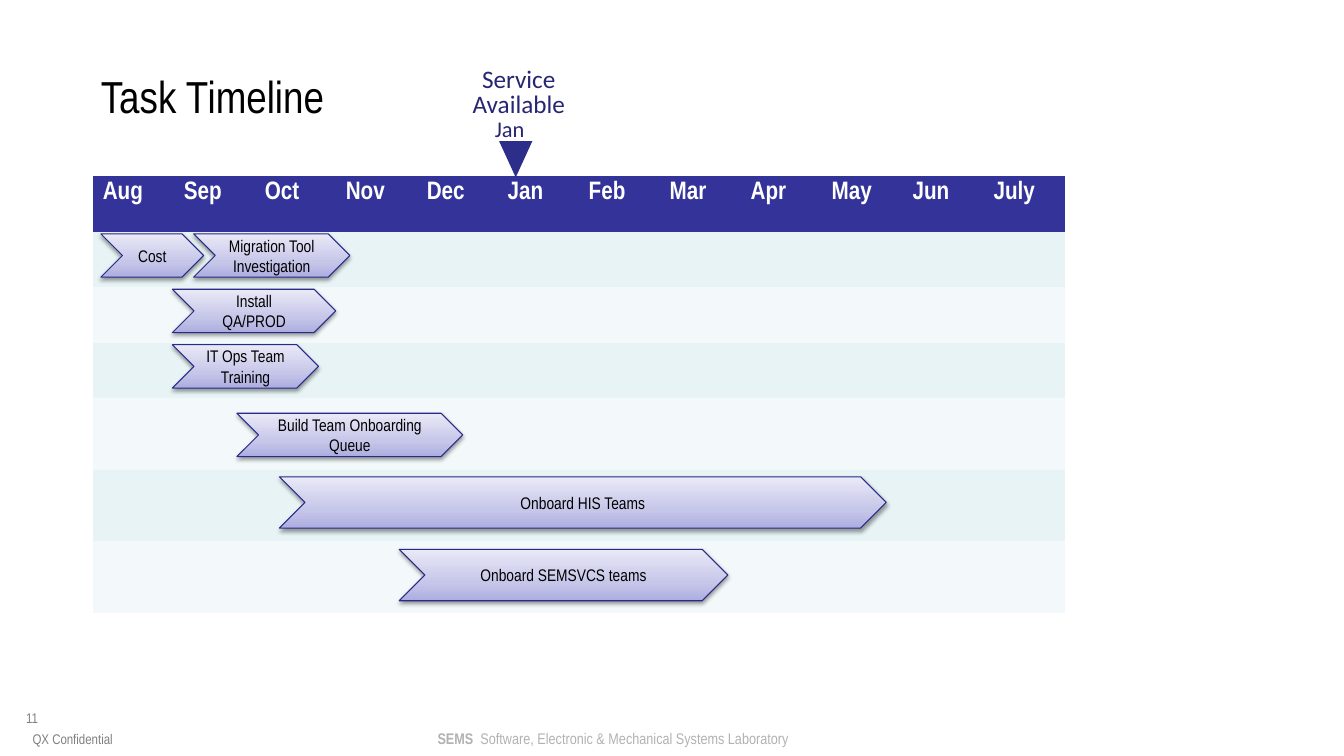
from pptx import Presentation
from pptx.dml.color import RGBColor
from pptx.enum import shapes, text
from pptx.oxml import parse_xml
from pptx.oxml.ns import nsdecls, qn
from pptx.util import Inches, Pt
from copy import deepcopy

BLACK = RGBColor(0, 0, 0)
WHITE = RGBColor(255, 255, 255)
GRAY = RGBColor(0x80, 0x80, 0x80)
SILVER = RGBColor(0xB2, 0xB2, 0xB2)
HEAD = RGBColor(0x33, 0x33, 0x99)
BANDS = RGBColor(0xE7, 0xF3, 0xF4), RGBColor(0xF3, 0xF9, 0xFA)
EDGE = RGBColor(0x2A, 0x2A, 0x89)
MARK = RGBColor(0x2D, 0x2D, 0x8A)
NAVY = RGBColor(0x26, 0x26, 0x73)
FADE = [(0, RGBColor(0xAD, 0xAD, 0xE1)), (0.35, RGBColor(0xC6, 0xC6, 0xE9)),
        (1, RGBColor(0xE9, 0xE9, 0xF7))]
NARROW = "Arial Narrow"
PLAIN = "{2D5ABB26-0587-4C30-8999-92F81FD0307C}"  # table style without borders

MONTHS = "Aug Sep Oct Nov Dec Jan Feb Mar Apr May Jun July".split()
ROWS = [0.55] * 4 + [0.71] * 3
WIDE = 9.64
# name, left, top, width, height
TASKS = [
    ("Cost", 1, 2.32, 1.02, 0.43),
    ("Install QA/PROD", 1.71, 2.87, 1.62, 0.43),
    ("IT Ops Team Training", 1.71, 3.42, 1.45, 0.43),
    ("Build Team Onboarding Queue", 2.35, 4.1, 2.24, 0.43),
    ("Onboard HIS Teams", 2.77, 4.73, 6.02, 0.51),
    ("Onboard SEMSVCS teams", 3.96, 5.45, 3.26, 0.51),
    ("Migration Tool Investigation", 1.92, 2.32, 1.55, 0.43),
]

deck = Presentation()
deck.slide_width, deck.slide_height = Inches(13.33), Inches(7.5)
slide = deck.slides.add_slide(deck.slide_layouts[5])


def style(para, size, color, name=NARROW, align=text.PP_ALIGN.LEFT):
    para.alignment = align
    font = para.font
    font.size, font.name, font.color.rgb = Pt(size), name, color


def label(words, box, size, color, name=NARROW, align=text.PP_ALIGN.LEFT,
          anchor=text.MSO_ANCHOR.TOP, side=0, wrap=True):
    """Add a text box; words are (text, bold) runs. Return its paragraph."""
    frame = slide.shapes.add_textbox(*map(Inches, box)).text_frame
    frame.word_wrap, frame.vertical_anchor = wrap, anchor
    frame.margin_left = frame.margin_right = Inches(side)
    frame.margin_top = frame.margin_bottom = 0
    para = frame.paragraphs[0]
    for part, bold in words:
        run = para.add_run()
        run.text = part
        if bold:
            run.font.bold = True
    style(para, size, color, name, align)
    return para


def fade(shape):
    """Fill with the three-stop gradient, dark at the bottom."""
    shape.fill.gradient()
    shape.fill.gradient_angle = 90
    stops = shape._element.spPr.find(".//" + qn("a:gsLst"))
    stops.insert(1, deepcopy(stops[0]))
    for stop, (place, color) in zip(shape.fill.gradient_stops, FADE):
        stop.position, stop.color.rgb = place, color


def shade(shape):
    """Give the shape a soft shadow below."""
    shape.shadow.inherit = False
    shape._element.spPr.find(qn("a:effectLst")).append(parse_xml(
        f'<a:outerShdw {nsdecls("a")} blurRad="{Pt(3.1)}" dist="{Pt(1.6)}" '
        'dir="5400000" rotWithShape="0"><a:srgbClr val="000000">'
        '<a:alpha val="38000"/></a:srgbClr></a:outerShdw>'))


# Footer
label([("11", False)], (0.26, 7.04, 0.71, 0.25), 10, GRAY)
label([("SEMS", True),
       ("\u00a0 Software, Electronic & Mechanical Systems Laboratory".replace("\u00a0", " "), False)],
      (4.34, 7.23, 3.5, 0.19), 11, SILVER, wrap=False)
label([("QX Confidential", False)], (0.11, 7.19, 1.22, 0.22), 10, GRAY,
      align=text.PP_ALIGN.CENTER, anchor=text.MSO_ANCHOR.BOTTOM)

# Title
title = slide.shapes.title
title.left, title.top, title.width, title.height = map(Inches, (1, 0.68, 12, 0.58))
frame = title.text_frame
frame.text = "Task Timeline"
frame.vertical_anchor = text.MSO_ANCHOR.TOP
frame.margin_left = frame.margin_right = frame.margin_top = frame.margin_bottom = 0
style(frame.paragraphs[0], 32, BLACK)

# Month grid
grid = slide.shapes.add_table(len(ROWS), len(MONTHS), Inches(0.92), Inches(1.75),
                              Inches(WIDE), Inches(sum(ROWS))).table
grid._tbl.tblPr.find(qn("a:tableStyleId")).text = PLAIN
for col in grid.columns:
    col.width = Inches(WIDE / len(MONTHS))
for i, tall in enumerate(ROWS):
    grid.rows[i].height = Inches(tall)
    for cell in grid.rows[i].cells:
        cell.fill.solid()
        cell.fill.fore_color.rgb = BANDS[(i - 1) % 2] if i else HEAD
for cell, month in zip(grid.rows[0].cells, MONTHS):
    cell.text = month
    para = cell.text_frame.paragraphs[0]
    style(para, 18, WHITE)
    para.font.bold = True

# Task bars
for name, *box in TASKS:
    bar = slide.shapes.add_shape(shapes.MSO_SHAPE.CHEVRON, *map(Inches, box))
    fade(bar)
    bar.line.color.rgb, bar.line.width = EDGE, Pt(0.75)
    shade(bar)
    bar.text_frame.text = name
    bar.text_frame.word_wrap = True
    bar.text_frame.vertical_anchor = text.MSO_ANCHOR.MIDDLE
    style(bar.text_frame.paragraphs[0], 12, BLACK, align=text.PP_ALIGN.CENTER)

# Milestone
flag = slide.shapes.add_shape(shapes.MSO_SHAPE.ISOSCELES_TRIANGLE,
                              *map(Inches, (4.95, 1.4, 0.33, 0.36)))
flag.rotation = 180
flag.fill.solid()
flag.fill.fore_color.rgb = MARK
flag.line.fill.background()
flag.shadow.inherit = False
note = label([("Service Available", False)], (4.44, 0.68, 1.41, 0.49), 18, NAVY,
             "Calibri", text.PP_ALIGN.CENTER, text.MSO_ANCHOR.BOTTOM, 0.1)
note.line_spacing = 0.8
label([("Jan", False)], (4.81, 1.14, 0.49, 0.27), 16, NAVY, "Calibri",
      side=0.1, wrap=False)

deck.save("out.pptx")
